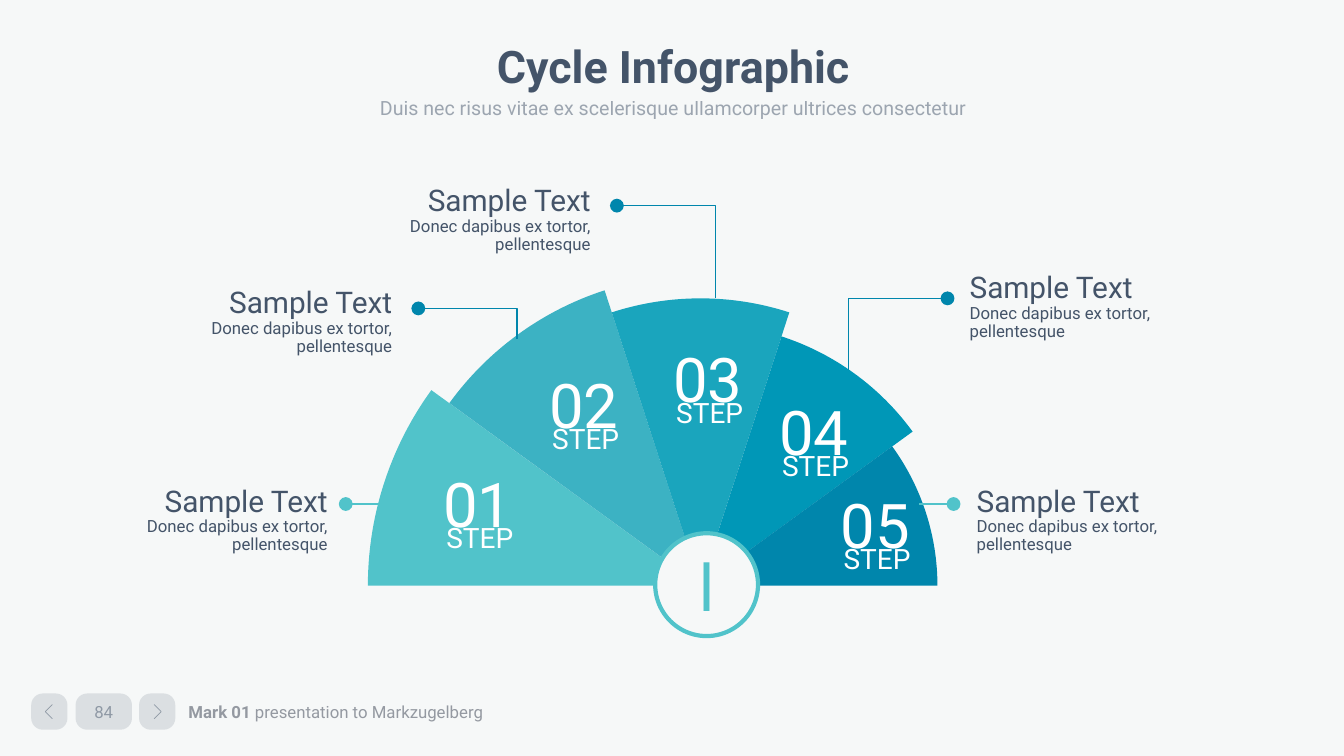
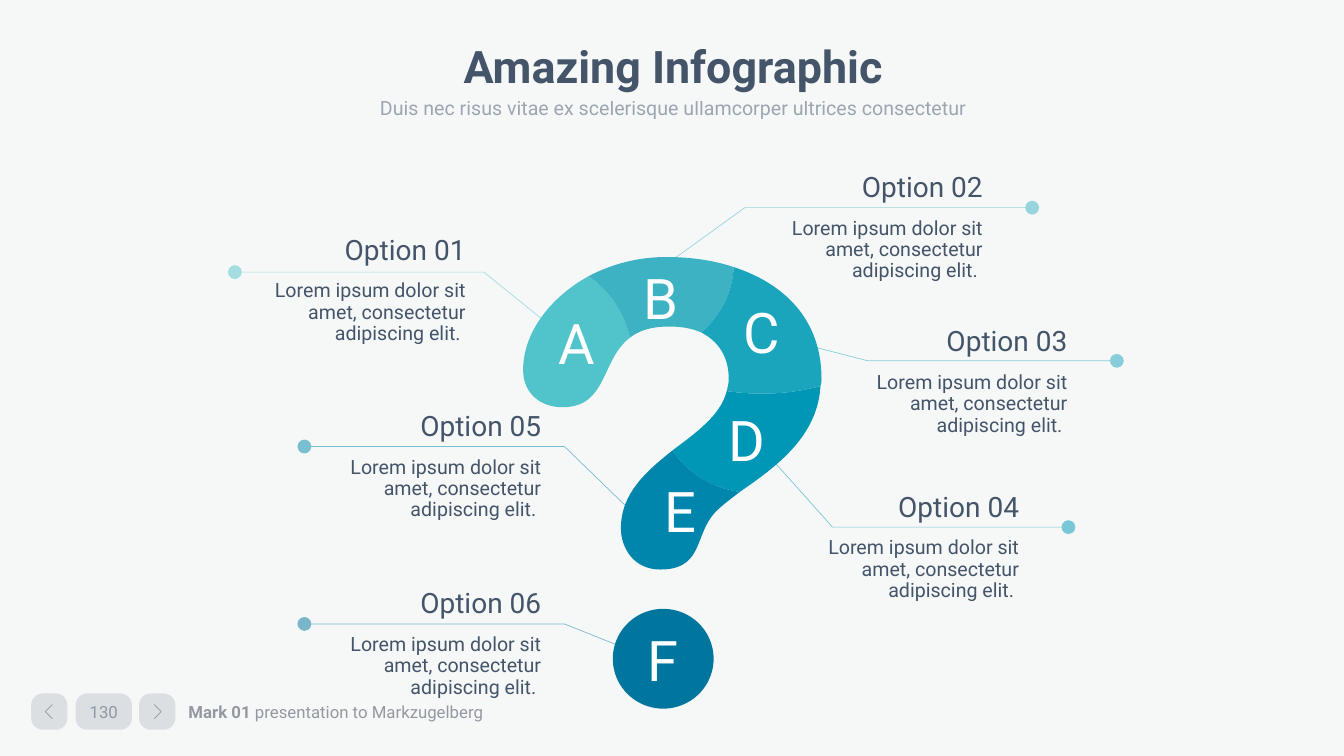
from math import cos, radians, sin, tan

from pptx import Presentation
from pptx.dml.color import RGBColor
from pptx.enum.shapes import MSO_CONNECTOR as Connector, MSO_SHAPE as Shape
from pptx.enum.text import MSO_ANCHOR as Anchor, MSO_AUTO_SIZE as AutoSize, PP_ALIGN as Align
from pptx.oxml.ns import qn
from pptx.oxml.xmlchemy import OxmlElement
from pptx.util import Inches, Pt

PAPER = RGBColor(0xF6, 0xF8, 0xF8)
INK = RGBColor(0x44, 0x54, 0x69)
GRAY = RGBColor(0x94, 0x99, 0xA1)
WHITE = RGBColor(0xFF, 0xFF, 0xFF)
AQUA = RGBColor(0x51, 0xC3, 0xCA)
DEEP = RGBColor(0x00, 0x86, 0xAC)
SHADES = [AQUA, RGBColor(0x3C, 0xB2, 0xC3), RGBColor(0x1A, 0xA5, 0xBD),
          RGBColor(0x00, 0x97, 0xB7), DEEP, RGBColor(0x00, 0x75, 0x9E)]

FONT = "Roboto"
SUBTITLE = "Duis nec risus vitae ex scelerisque ullamcorper ultrices consectetur"
FOOTER = [("Mark 01 ", True), ("presentation to Markzugelberg", False)]
CHEVRONS = [[(0.52, 7.13), (0.45, 7.06), (0.52, 6.99)],
            [(1.53, 6.99), (1.6, 7.06), (1.53, 7.13)]]

FAN_CENTER = (6.95, 5.81)
FAN_ANGLE = 36
STEPS = [
    ("01", 3.3, (4.3, 4.57)),
    ("02", 3.08, (5.35, 3.59)),
    ("03", 2.85, (6.58, 3.33)),
    ("04", 2.6, (7.63, 3.86)),
    ("05", 2.35, (8.24, 4.78)),
]
STEP_HEADING = "Sample Text"
STEP_DETAIL = "Donec dapibus ex tortor, pellentesque"
STEP_CALLOUTS = [
    ((0.94, 4.78), Align.RIGHT, AQUA, [(3.77, 5), (3.43, 5)]),
    ((1.58, 2.81), Align.RIGHT, DEEP, [(5.13, 3.36), (5.13, 3.06), (4.15, 3.06)]),
    ((3.55, 1.8), Align.RIGHT, DEEP, [(7.1, 2.96), (7.1, 2.04), (6.12, 2.04)]),
    ((9.49, 2.66), Align.LEFT, DEEP, [(8.42, 3.67), (8.42, 2.96), (9.4, 2.96)]),
    ((9.56, 4.78), Align.LEFT, AQUA, [(9.12, 5), (9.46, 5)]),
]

SEAM_AB = [(5.84, 2.74), (6.07, 2.9), (6.2, 3.14), (6.25, 3.35)]
SEAM_BC = [(7.28, 2.65), (7.26, 2.92), (7.16, 3.11), (6.96, 3.3)]
SEAM_CD = [(8.14, 3.83), (7.81, 3.92), (7.48, 3.92), (7.21, 3.88)]
SEAM_DE = [(6.67, 4.47), (6.79, 4.64), (7, 4.83), (7.34, 4.88)]
QUESTION_PIECES = [
    ("A", [(5.84, 2.74), (5.46, 2.95), (5.19, 3.3), (5.19, 3.67), (5.19, 3.91),
           (5.37, 4.04), (5.58, 4.04), (6.03, 4.04), (5.96, 3.57)] + SEAM_AB[::-1]),
    ("B", [(7.28, 2.65), (7.07, 2.58), (6.84, 2.55), (6.61, 2.55), (6.33, 2.55), (6.07, 2.62)]
     + SEAM_AB + [(6.34, 3.28), (6.46, 3.24), (6.64, 3.24), (6.77, 3.24), (6.87, 3.26)]
     + SEAM_BC[::-1]),
    ("C", [(8.14, 3.83), (8.15, 3.81), (8.15, 3.78), (8.15, 3.76), (8.15, 3.16), (7.77, 2.81)]
     + SEAM_BC + [(7.13, 3.39), (7.23, 3.54), (7.23, 3.76), (7.23, 3.8), (7.22, 3.84)]
     + SEAM_CD[::-1]),
    ("D", SEAM_CD + [(7.15, 4.12), (6.91, 4.29)] + SEAM_DE
     + [(7.67, 4.65), (8.11, 4.35), (8.14, 3.83)]),
    ("E", [(6.67, 4.47), (6.42, 4.67), (6.16, 4.89), (6.16, 5.24), (6.16, 5.44), (6.29, 5.65),
           (6.55, 5.65), (6.95, 5.65), (6.9, 5.35), (7.05, 5.14), (7.1, 5.06), (7.21, 4.98)]
     + SEAM_DE[::-1]),
]
OPTION_DETAIL = "Lorem ipsum dolor sit amet, consectetur adipiscing elit. "
OPTIONS = [
    ("Option 01", (2.26, 2.29), [(5.42, 3.2), (4.8, 2.7), (2.33, 2.7)]),
    ("Option 02", (7.39, 1.67), [(6.67, 2.58), (7.39, 2.06), (10.24, 2.06)]),
    ("Option 03", (8.23, 3.2), [(7.99, 3.42), (8.61, 3.58), (11.08, 3.58)]),
    ("Option 04", (7.75, 4.84), [(7.67, 4.57), (8.26, 5.23), (10.6, 5.23)]),
    ("Option 05", (3.01, 4.04), [(6.25, 5.06), (5.6, 4.43), (3.02, 4.43)]),
    ("Option 06", (3.01, 5.8), [(6.25, 6.45), (5.6, 6.19), (3.02, 6.19)]),
]


def set_alpha(element, percent):
    for color in element.iter(qn("a:srgbClr")):
        alpha = OxmlElement("a:alpha")
        alpha.set("val", str(percent * 1000))
        color.append(alpha)


def format_paragraph(paragraph, size, color, align=Align.LEFT, bold=False, spacing=None, font=FONT):
    paragraph.alignment = align
    if spacing:
        paragraph.line_spacing = spacing
    for run in paragraph.runs:
        run.font.name = font
        run.font.size = Pt(size)
        run.font.bold = bold
        run.font.color.rgb = color


def set_insets(frame, left, top, right, bottom):
    frame.margin_left, frame.margin_top = Inches(left), Inches(top)
    frame.margin_right, frame.margin_bottom = Inches(right), Inches(bottom)


def add_text(slide, box, text, size, color, wrap=True, **style):
    frame = slide.shapes.add_textbox(*map(Inches, box)).text_frame
    frame.word_wrap = wrap
    frame.text = text
    format_paragraph(frame.paragraphs[0], size, color, **style)
    return frame


def style_solid(shape, color):
    shape.shadow.inherit = False
    shape.fill.solid()
    shape.fill.fore_color.rgb = color
    shape.line.fill.background()


def add_preset(slide, preset, box, color):
    shape = slide.shapes.add_shape(preset, *map(Inches, box))
    style_solid(shape, color)
    return shape


def add_outline(slide, points, close):
    corners = [(Inches(x), Inches(y)) for x, y in points]
    builder = slide.shapes.build_freeform(*corners[0])
    builder.add_line_segments(corners[1:], close=close)
    return builder.convert_to_shape()


def add_curved_outline(slide, points, color):
    shape = add_outline(slide, points, True)
    segments = list(shape.element.iter(qn("a:lnTo")))
    for start in range(0, len(segments) - 2, 3):
        curve = OxmlElement("a:cubicBezTo")
        segments[start].addprevious(curve)
        for segment in segments[start:start + 3]:
            curve.append(segment[0])
            segment.getparent().remove(segment)
    style_solid(shape, color)
    return shape


def add_path(slide, points, color, width, dot=True, alpha=None):
    if len(points) == 2:
        ends = [Inches(value) for point in points for value in point]
        shape = slide.shapes.add_connector(Connector.STRAIGHT, *ends)
    else:
        shape = add_outline(slide, points, False)
        shape.fill.background()
    shape.line.color.rgb = color
    shape.line.width = Pt(width)
    if alpha:
        set_alpha(shape.element.spPr, alpha)
    if dot:
        tail = OxmlElement("a:tailEnd")
        for key, value in (("type", "oval"), ("w", "lg"), ("len", "lg")):
            tail.set(key, value)
        shape.element.spPr.find(qn("a:ln")).append(tail)
    shape.element.spPr.append(OxmlElement("a:effectLst"))


def set_center_text(shape, text, size, color, font=FONT):
    frame = shape.text_frame
    frame.text = text
    frame.vertical_anchor = Anchor.MIDDLE
    format_paragraph(frame.paragraphs[0], size, color, Align.CENTER, font=font)
    return frame


def add_callout(slide, box, heading, detail, sizes, align, spacing, gap=0):
    frame = add_text(slide, box, heading, sizes[0], INK, align=align, spacing=spacing)
    set_insets(frame, 0.13, 0.05, 0.13, 0.05)
    paragraph = frame.add_paragraph()
    paragraph.text = detail
    paragraph.space_before = Pt(gap)
    format_paragraph(paragraph, sizes[1], INK, align, spacing=spacing)


def sector_points(center, radius, first, sweep, parts=2):
    step = radians(sweep / parts)
    handle = radius * 4 / 3 * tan(step / 4)

    def place(angle, offset):
        return (center[0] + radius * cos(angle) + offset * sin(angle),
                center[1] - radius * sin(angle) + offset * cos(angle))

    points = [place(radians(first), 0)]
    for index in range(parts):
        start = radians(first) - index * step
        end = start - step
        points += [place(start, handle), place(end, -handle), place(end, 0)]
    return points + [center]


def add_footer(slide, number):
    frame = add_text(slide, (1.74, 6.89, 3.67, 0.34), "", 12, GRAY)
    frame.vertical_anchor = Anchor.MIDDLE
    set_insets(frame, 0.13, 0.07, 0.13, 0.07)
    paragraph = frame.paragraphs[0]
    for text, bold in FOOTER:
        paragraph.add_run().text = text
    format_paragraph(paragraph, 12, GRAY)
    for run, (text, bold) in zip(paragraph.runs, FOOTER):
        run.font.bold = bold
    for left, width, label in ((0.31, 0.36, ""), (0.75, 0.56, number), (1.38, 0.36, "")):
        button = add_preset(slide, Shape.ROUNDED_RECTANGLE, (left, 6.88, width, 0.36), INK)
        button.adjustments[0] = 0.32
        set_alpha(button.element.spPr, 15)
        if label:
            frame = set_center_text(button, label, 12, INK)
            set_insets(frame, 0, 0, 0, 0)
            set_alpha(button.element.txBody, 50)
    for chevron in CHEVRONS:
        add_path(slide, chevron, INK, 0.5, dot=False, alpha=50)


def start_slide(presentation, heading, number):
    slide = presentation.slides.add_slide(presentation.slide_layouts[5])
    title = slide.shapes.title
    title.left, title.top, title.width, title.height = map(Inches, (0.93, 0.4, 11.5, 0.56))
    frame = title.text_frame
    frame.text = heading
    frame.auto_size = AutoSize.NONE
    frame.vertical_anchor = Anchor.MIDDLE
    format_paragraph(frame.paragraphs[0], 32, INK, Align.CENTER, bold=True, spacing=0.9)
    subtitle = add_text(slide, (1.96, 0.86, 9.44, 0.42), SUBTITLE, 14, INK,
                        align=Align.CENTER, spacing=1.2)
    set_alpha(subtitle.paragraphs[0]._p, 50)
    add_footer(slide, number)
    return slide


def build_cycle(presentation):
    slide = start_slide(presentation, "Cycle Infographic", "84")
    for index, (number, radius, (left, top)) in enumerate(STEPS):
        points = sector_points(FAN_CENTER, radius, 180 - index * FAN_ANGLE, FAN_ANGLE)
        add_curved_outline(slide, points, SHADES[index])
        add_text(slide, (left, top, 0.91, 0.84), number, 44, WHITE, wrap=False)
        add_text(slide, (left + 0.03, top + 0.54, 0.89, 0.44), "STEP", 20, WHITE, wrap=False)
    hub = add_preset(slide, Shape.OVAL, (6.5, 5.29, 1.02, 1.02), PAPER)
    hub.line.color.rgb = AQUA
    hub.line.width = Pt(3)
    set_center_text(hub, "l", 48, AQUA, font="Arial")
    for (left, top), align, color, points in STEP_CALLOUTS:
        add_path(slide, points, color, 1)
        add_callout(slide, (left, top, 2.44, 0.8), STEP_HEADING, STEP_DETAIL,
                    (21.3, 12), align, 0.89)


def build_question(presentation):
    slide = start_slide(presentation, "Amazing Infographic", "130")
    dot = add_preset(slide, Shape.OVAL, (6.08, 6.04, 1, 0.99), SHADES[-1])
    set_center_text(dot, "F", 40, WHITE)
    for (letter, points), color in zip(QUESTION_PIECES, SHADES):
        piece = add_curved_outline(slide, points, color)
        set_center_text(piece, letter, 40, WHITE)
    for (heading, (left, top), points), color in zip(OPTIONS, SHADES):
        add_path(slide, points, color, 0.5, alpha=50)
        add_callout(slide, (left, top, 2.49, 1.19), heading, OPTION_DETAIL,
                    (20, 14), Align.RIGHT, 0.9, gap=10.7)


def main():
    presentation = Presentation()
    presentation.slide_width, presentation.slide_height = Inches(40 / 3), Inches(7.5)
    background = presentation.slide_master.background.fill
    background.solid()
    background.fore_color.rgb = PAPER
    build_cycle(presentation)
    build_question(presentation)
    presentation.save("out.pptx")


if __name__ == "__main__":
    main()
